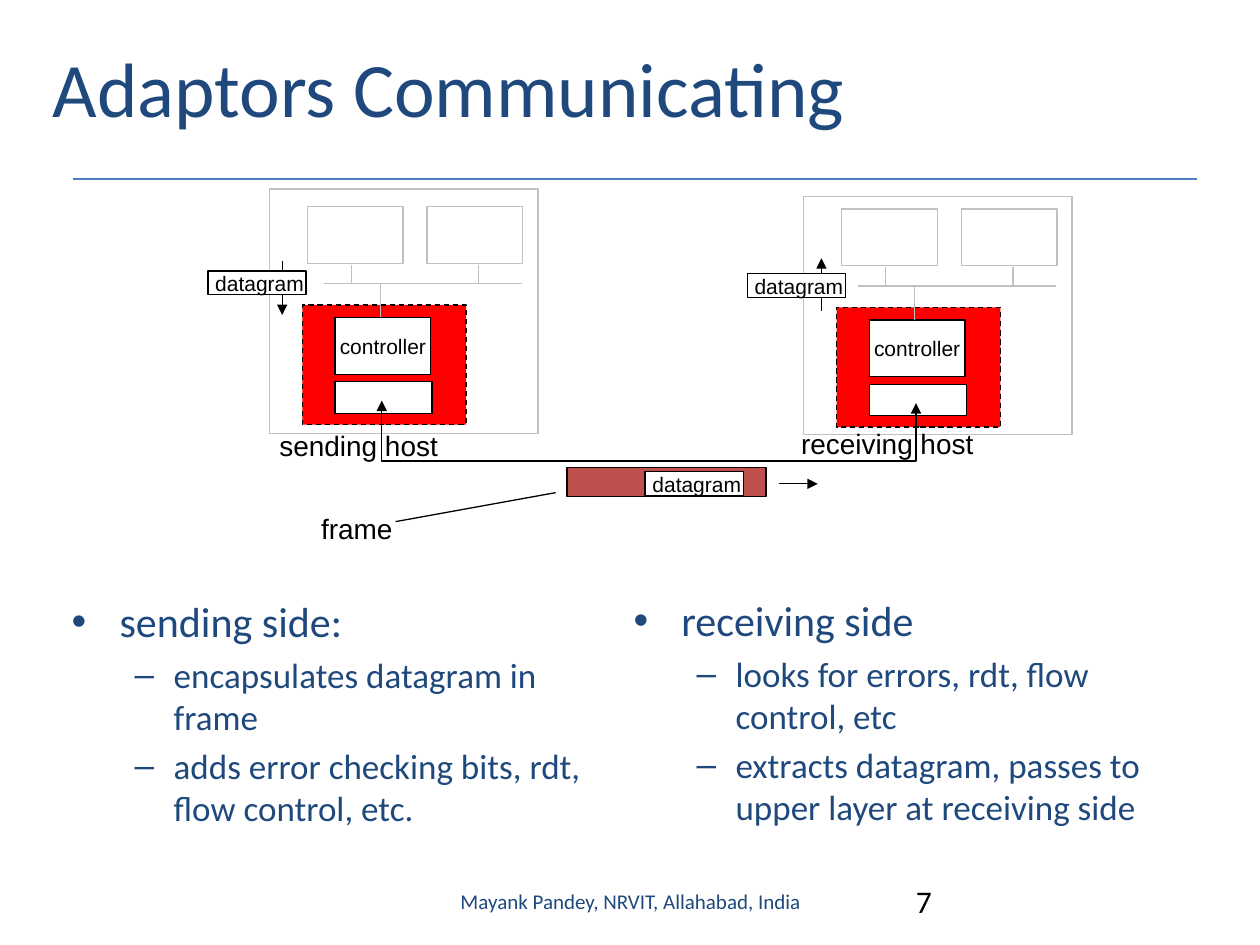
from dataclasses import dataclass

from lxml import etree
from pptx import Presentation
from pptx.dml.color import RGBColor
from pptx.enum.dml import MSO_LINE
from pptx.enum.shapes import MSO_CONNECTOR, MSO_SHAPE
from pptx.enum.text import MSO_ANCHOR, MSO_AUTO_SIZE, PP_ALIGN
from pptx.oxml.ns import qn
from pptx.util import Inches, Pt

RECTANGLE = MSO_SHAPE.RECTANGLE
STRAIGHT = MSO_CONNECTOR.STRAIGHT
DASH = MSO_LINE.DASH
TOP, MIDDLE = MSO_ANCHOR.TOP, MSO_ANCHOR.MIDDLE
LEFT, CENTER = PP_ALIGN.LEFT, PP_ALIGN.CENTER
FIXED, GROW = MSO_AUTO_SIZE.NONE, MSO_AUTO_SIZE.SHAPE_TO_FIT_TEXT


@dataclass(frozen=True)
class Theme:
    navy: str = "1F497D"
    rule: str = "4B7EBC"
    black: str = "000000"
    white: str = "FFFFFF"
    gray: str = "C0C0C0"
    adaptor: str = "FF0000"
    frame: str = "C0504D"
    body_font: str = "Calibri"
    diagram_font: str = "Arial"
    title: int = 44
    side: int = 24
    detail: int = 20
    number: int = 18
    caption: int = 16
    small: int = 12
    stroke: float = 0.75


class SlideBuilder:
    def __init__(self, slide, theme):
        self.slide = slide
        self.theme = theme

    def style_line(self, line, color, head=False, tail=False):
        line.color.rgb = RGBColor.from_string(color)
        line.width = Pt(self.theme.stroke)
        for end, shown in (("a:headEnd", head), ("a:tailEnd", tail)):
            if shown:
                etree.SubElement(line._get_or_add_ln(), qn(end), type="triangle")

    def style_paragraph(self, paragraph, size, font, color, align=LEFT):
        paragraph.alignment = align
        paragraph.font.size = Pt(size)
        paragraph.font.name = font
        paragraph.font.color.rgb = RGBColor.from_string(color)

    def box(self, x, y, w, h, fill, outline, dash=None):
        box = self.slide.shapes.add_shape(
            RECTANGLE, Inches(x), Inches(y), Inches(w), Inches(h))
        box.shadow.inherit = False
        box.fill.solid()
        box.fill.fore_color.rgb = RGBColor.from_string(fill)
        self.style_line(box.line, outline)
        if dash:
            box.line.dash_style = dash
        return box

    def labelled_box(self, x, y, w, h, text):
        box = self.box(x, y, w, h, self.theme.white, self.theme.black)
        box.text_frame.word_wrap = False
        box.text_frame.vertical_anchor = MIDDLE
        label = box.text_frame.paragraphs[0]
        label.text = text
        self.style_paragraph(label, self.theme.small, self.theme.diagram_font,
                             self.theme.black, CENTER)

    def line(self, x1, y1, x2, y2, color, head=False, tail=False):
        connector = self.slide.shapes.add_connector(
            STRAIGHT, Inches(x1), Inches(y1), Inches(x2), Inches(y2))
        etree.SubElement(connector._element.spPr, qn("a:effectLst"))
        self.style_line(connector.line, color, head, tail)

    def link(self, points):
        start, *rest = [(Inches(x), Inches(y)) for x, y in points]
        outline = self.slide.shapes.build_freeform(*start)
        outline.add_line_segments(rest, close=False)
        link = outline.convert_to_shape()
        link.shadow.inherit = False
        link.fill.background()
        self.style_line(link.line, self.theme.black, head=True, tail=True)

    def text_frame(self, x, y, w, h, wrap=True, anchor=TOP):
        frame = self.slide.shapes.add_textbox(
            Inches(x), Inches(y), Inches(w), Inches(h)).text_frame
        frame.word_wrap = wrap
        frame.auto_size = FIXED if wrap else GROW
        frame.vertical_anchor = anchor
        return frame

    def text(self, x, y, w, h, text, size, font, color,
             align=LEFT, anchor=TOP, wrap=True):
        paragraph = self.text_frame(x, y, w, h, wrap, anchor).paragraphs[0]
        paragraph.text = text
        self.style_paragraph(paragraph, size, font, color, align)

    def caption(self, x, y, w, text):
        self.text(x, y, w, 0.37, text, self.theme.caption,
                  self.theme.diagram_font, self.theme.black, wrap=False)

    def datagram(self, x, y):
        self.box(x, y, 0.78, 0.19, self.theme.white, self.theme.black)
        self.text(x - 0.04, y - 0.05, 0.92, 0.3, "datagram", self.theme.small,
                  self.theme.diagram_font, self.theme.black, wrap=False)

    def bullets(self, x, y, w, h, heading, details):
        frame = self.text_frame(x, y, w, h)
        items = [(heading, "•", 0.38, 0.38, self.theme.side)]
        items += [(detail, "–", 0.81, 0.31, self.theme.detail) for detail in details]
        for index, (text, mark, margin, hanging, size) in enumerate(items):
            paragraph = frame.add_paragraph() if index else frame.paragraphs[0]
            paragraph.text = text
            properties = paragraph._p.get_or_add_pPr()
            properties.set("marL", str(Inches(margin)))
            properties.set("indent", str(-Inches(hanging)))
            etree.SubElement(properties, qn("a:buFont"), typeface=self.theme.diagram_font)
            etree.SubElement(properties, qn("a:buChar"), char=mark)
            paragraph.space_before = Pt(size * 0.2)
            self.style_paragraph(paragraph, size, self.theme.body_font, self.theme.navy)

    def host(self, x, y, case_top, case_height):
        theme = self.theme
        self.box(x, case_top, 2.13, case_height, theme.white, theme.gray)
        self.box(x + 0.26, y + 0.92, 1.3, 0.95, theme.adaptor, theme.black, DASH)
        self.box(x + 0.52, y + 1.53, 0.77, 0.25, theme.white, theme.black)
        self.labelled_box(x + 0.52, y + 1.02, 0.76, 0.45, "controller")
        bus = y + 0.75
        self.line(x + 0.43, bus, x + 2, bus, theme.gray)
        self.line(x + 0.88, y + 1.02, x + 0.88, bus, theme.gray)
        for unit, stem in ((0.3, 0.65), (1.25, 1.66)):
            self.box(x + unit, y + 0.14, 0.76, 0.45, theme.white, theme.gray)
            self.line(x + stem, bus, x + stem, y + 0.6, theme.gray)


def main():
    presentation = Presentation()
    presentation.slide_width = Inches(10)
    presentation.slide_height = Inches(7.5)
    theme = Theme()
    page = SlideBuilder(
        presentation.slides.add_slide(presentation.slide_layouts[6]), theme)

    page.line(0.58, 1.42, 9.5, 1.42, theme.rule)
    page.text(0.32, 0.06, 8.5, 1.25, "Adaptors Communicating", theme.title,
              theme.body_font, theme.navy, anchor=MIDDLE)

    page.bullets(0.47, 4.68, 4.45, 2.12, "sending side:", [
        "encapsulates datagram in frame",
        "adds error checking bits, rdt, flow control, etc."])
    page.bullets(4.93, 4.67, 4.47, 2.02, "receiving side", [
        "looks for errors, rdt, flow control, etc",
        "extracts datagram, passes to upper layer at receiving side"])

    page.host(2.14, 1.5, 1.5, 1.94)
    page.host(6.38, 1.52, 1.56, 1.89)
    page.caption(2.12, 3.35, 1.46, "sending host")
    page.caption(6.26, 3.34, 1.57, "receiving host")

    page.line(2.24, 2.07, 2.24, 2.5, theme.black, tail=True)
    page.datagram(1.65, 2.15)
    page.line(6.52, 2.05, 6.52, 2.47, theme.black, head=True)
    page.datagram(5.93, 2.17)

    page.link([(3.03, 3.18), (3.03, 3.66), (7.27, 3.66), (7.27, 3.2)])
    page.box(4.5, 3.71, 1.58, 0.23, theme.frame, theme.black)
    page.datagram(5.12, 3.74)
    page.line(6.18, 3.84, 6.49, 3.84, theme.black, tail=True)
    page.caption(2.45, 4.01, 0.77, "frame")
    page.line(3.14, 4.14, 4.41, 3.91, theme.black)

    page.text(3.42, 6.95, 3.17, 0.4, "Mayank Pandey, NRVIT, Allahabad, India",
              theme.small, theme.body_font, theme.navy, CENTER, MIDDLE)
    page.text(7.17, 6.95, 2.33, 0.4, "7", theme.number, theme.body_font, theme.black)

    presentation.save("out.pptx")


if __name__ == "__main__":
    main()
